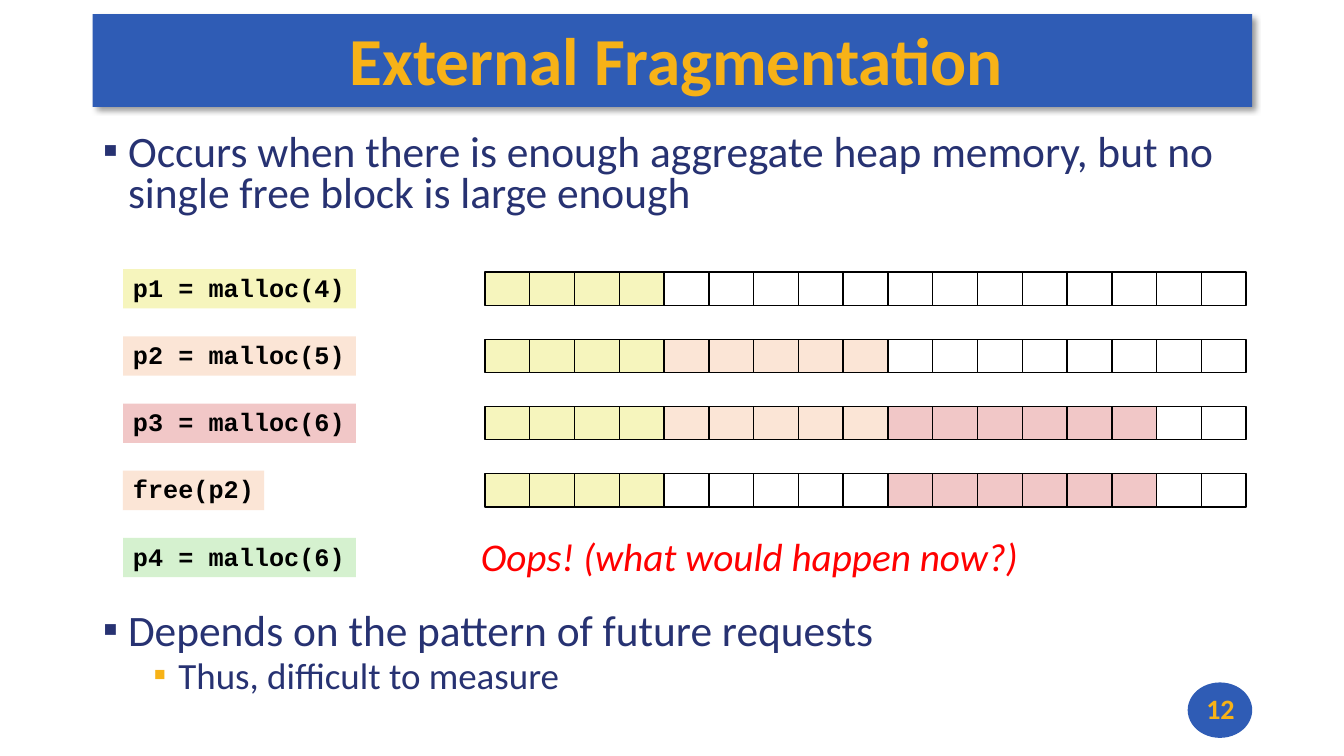
from lxml import etree
from pptx import Presentation
from pptx.dml.color import RGBColor
from pptx.enum import shapes, text
from pptx.oxml import parse_xml
from pptx.oxml.ns import nsdecls, qn
from pptx.util import Inches, Pt

COLORS = {
    "blue": "2F5CB5", "gold": "F7B217", "navy": "273272", "black": "000000",
    "red": "FF0000", "free": "FFFFFF", "p1": "F6F5BD", "p2": "FBE5D6",
    "p3": "F1C7C7", "p4": "D5F1CF",
}
BLOCKS = 17
ROW_PITCH = 2 / 3
# Label, its colour, label width, heap contents as (colour, block count)
STEPS = [
    ("p1 = malloc(4)", "p1", 2.31, [("p1", 4), ("free", 13)]),
    ("p2 = malloc(5)", "p2", 2.31, [("p1", 4), ("p2", 5), ("free", 8)]),
    ("p3 = malloc(6)", "p3", 2.31, [("p1", 4), ("p2", 5), ("p3", 6), ("free", 2)]),
    ("free(p2)", "p2", 1.4, [("p1", 4), ("free", 5), ("p3", 6), ("free", 2)]),
    ("p4 = malloc(6)", "p4", 2.31, []),
]
# Text, level, size, space before, bullet colour
BULLETS = [
    ("Occurs when there is enough aggregate heap memory, but no "
     "single free block is large enough", 0, 31, 0, "navy"),
    ("Depends on the pattern of future requests", 0, 31, 284, "navy"),
    ("Thus, difficult to measure", 1, 26.4, 5, "gold"),
]


def rgb(name):
    return RGBColor.from_string(COLORS[name])


def write(p, words, size, color, font="Calibri", bold=False, italic=False,
          align=text.PP_ALIGN.LEFT):
    p.alignment = align
    r = p.add_run()
    r.text = words
    f = r.font
    f.name, f.size, f.bold, f.italic = font, Pt(size), bold, italic
    f.color.rgb = rgb(color)


def place(s, x, y, w, h):
    s.left, s.top, s.width, s.height = (Inches(v) for v in (x, y, w, h))


def add_box(parent, kind, x, y, w, h, fill, line=None):
    sp = parent.shapes.add_shape(kind, *(Inches(v) for v in (x, y, w, h)))
    sp.shadow.inherit = False
    sp.fill.solid()
    sp.fill.fore_color.rgb = rgb(fill)
    if line:
        sp.line.color.rgb = rgb(line)
        sp.line.width = Pt(1)
    else:
        sp.line.fill.background()
    return sp


def add_text(s, x, y, w, h):
    tb = s.shapes.add_textbox(*(Inches(v) for v in (x, y, w, h)))
    return tb.text_frame


def add_title(s, x, y, w, h):
    # Banner with a soft shadow, sent behind the title
    banner = add_box(s, shapes.MSO_SHAPE.RECTANGLE, x, y, w, h, "blue")
    effects = banner._element.spPr.find(qn("a:effectLst"))
    effects.append(parse_xml(
        f'<a:outerShdw {nsdecls("a")} blurRad="50800" dist="38100" dir="2700000">'
        f'<a:srgbClr val="{COLORS["black"]}"><a:alpha val="40000"/></a:srgbClr>'
        '</a:outerShdw>'))
    s.shapes._spTree.insert(2, banner._element)

    title = s.shapes.title
    place(title, x, y - 0.02, w, h)
    tf = title.text_frame
    tf.auto_size = text.MSO_AUTO_SIZE.NONE
    tf.vertical_anchor = text.MSO_ANCHOR.MIDDLE
    tf.margin_left, tf.margin_right = Inches(0.08), 0
    tf.margin_top = tf.margin_bottom = Inches(0.03)
    write(tf.paragraphs[0], "External Fragmentation", 48, "gold", bold=True,
          align=text.PP_ALIGN.CENTER)


def add_bullet(p, level, color):
    pPr = p._p.get_or_add_pPr()
    pPr.set("marL", str(Inches(0.25 + 0.5 * level)))
    pPr.set("indent", str(-Inches(0.25)))
    clr = etree.SubElement(pPr, qn("a:buClr"))
    etree.SubElement(clr, qn("a:srgbClr"), val=COLORS[color])
    etree.SubElement(pPr, qn("a:buChar"), char="▪")


def add_body(s, x, y, w, h):
    body = s.placeholders[1]
    place(body, x, y, w, h)
    tf = body.text_frame
    tf.auto_size = text.MSO_AUTO_SIZE.NONE
    for i, (words, level, size, before, color) in enumerate(BULLETS):
        p = tf.add_paragraph() if i else tf.paragraphs[0]
        p.level = level
        add_bullet(p, level, color)
        p.line_spacing = 0.78
        p.space_before = Pt(before)
        write(p, words, size, "navy")


def add_heap(s, x, y, w, h, runs):
    heap = s.shapes.add_group_shape()
    fills = [color for color, count in runs for _ in range(count)]
    block = w / BLOCKS
    for i, fill in enumerate(fills):
        add_box(heap, shapes.MSO_SHAPE.RECTANGLE, x + i * block, y, block, h,
                fill, line="black")


def add_label(s, x, y, w, h, words, fill):
    sp = add_box(s, shapes.MSO_SHAPE.RECTANGLE, x, y, w, h, fill)
    tf = sp.text_frame
    tf.word_wrap = False
    tf.auto_size = text.MSO_AUTO_SIZE.SHAPE_TO_FIT_TEXT
    p = tf.paragraphs[0]
    p.line_spacing = 0.94
    write(p, words, 18, "black", font="Courier New", bold=True)


def add_steps(s, x, y, w):
    heap_x = x + 3.59
    for i, (words, fill, label_w, runs) in enumerate(STEPS):
        row_y = y + i * ROW_PITCH
        if runs:
            add_heap(s, heap_x, row_y + 0.03, w - 3.59, 0.33, runs)
        add_label(s, x, row_y, label_w, 0.39, words, fill)
    # Question beside the last request
    tf = add_text(s, heap_x - 0.14, row_y - 0.1, 5.59, 0.57)
    tf.word_wrap = False
    tf.auto_size = text.MSO_AUTO_SIZE.SHAPE_TO_FIT_TEXT
    write(tf.paragraphs[0], "Oops! (what would happen now?)", 28, "red", italic=True)


def add_page_number(s, x, y, w, h):
    add_box(s, shapes.MSO_SHAPE.OVAL, x, y, w, h, "blue")
    tf = add_text(s, x, y, w + 0.01, h - 0.03)
    tf.word_wrap = True
    tf.vertical_anchor = text.MSO_ANCHOR.MIDDLE
    write(tf.paragraphs[0], "12", 20, "gold", bold=True, align=text.PP_ALIGN.CENTER)


def main():
    prs = Presentation()
    prs.slide_width, prs.slide_height = Inches(13.33), Inches(7.5)
    s = prs.slides.add_slide(prs.slide_layouts[1])
    add_title(s, 0.92, 0.14, 11.5, 0.92)
    add_body(s, 0.92, 1.29, 11.5, 5.82)
    add_steps(s, 1.22, 2.67, 11.14)
    add_page_number(s, 11.78, 6.77, 0.64, 0.55)
    prs.save("out.pptx")


if __name__ == "__main__":
    main()
